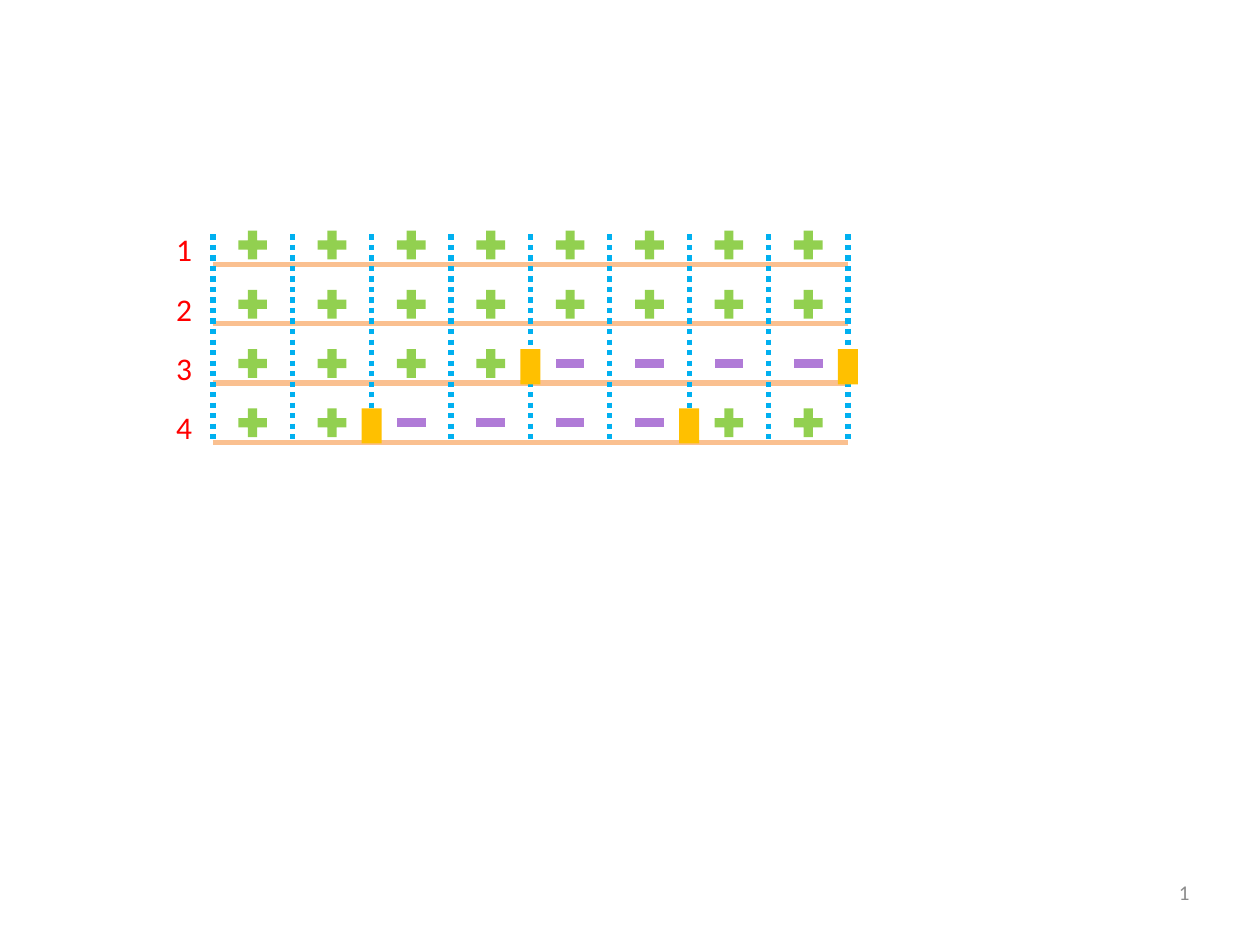
import pptx
import pptx.util
import pptx.dml.color
import pptx.enum.dml
import pptx.enum.shapes
import pptx.enum.text
import pptx.oxml.ns
import lxml.etree

Inches = pptx.util.Inches
SHAPE = pptx.enum.shapes.MSO_SHAPE
ALIGN = pptx.enum.text.PP_ALIGN
ANCHOR = pptx.enum.text.MSO_ANCHOR
DOT = pptx.enum.dml.MSO_LINE.ROUND_DOT

COLORS = {
    "row": "FAC090",
    "dots": "00B0F0",
    "plus": "92D050",
    "minus": "B07BD7",
    "flip": "FFC000",
    "label": "FF0000",
    "page": "8C8C8C",
}
SIGNS = ["++++++++", "++++++++", "++++----", "++----++"]
FLIPS = [(3, 2), (2, 4), (3, 6), (2, 8)]  # row, column edge
CELL_W, CELL_H = 0.63, 0.47
SIGN = 0.31


def color(name):
    """Return the named colour."""
    return pptx.dml.color.RGBColor.from_string(COLORS[name])


def rule(shapes, start, end, name, dash=None):
    """Draw a straight 3 pt line between two points."""
    line = shapes.add_connector(
        pptx.enum.shapes.MSO_CONNECTOR.STRAIGHT,
        *(Inches(v) for v in (*start, *end)))
    line.line.color.rgb = color(name)
    line.line.width = pptx.util.Pt(3)
    if dash is not None:
        line.line.dash_style = dash
    props = line._element.spPr
    lxml.etree.SubElement(props, pptx.oxml.ns.qn("a:effectLst"))


def solid(shapes, kind, box, name):
    """Draw a filled shape without an outline."""
    shape = shapes.add_shape(kind, *(Inches(v) for v in box))
    shape.shadow.inherit = False
    shape.fill.solid()
    shape.fill.fore_color.rgb = color(name)
    shape.line.fill.background()


def write(shapes, text, box, size, name, align=ALIGN.LEFT, anchor=ANCHOR.TOP):
    """Place one line of text in a box."""
    frame = shapes.add_textbox(*(Inches(v) for v in box)).text_frame
    frame.word_wrap = True
    frame.vertical_anchor = anchor
    para = frame.paragraphs[0]
    para.text = text
    para.alignment = align
    para.font.name = "Calibri"
    para.font.size = pptx.util.Pt(size)
    para.font.color.rgb = color(name)


def sign(shapes, left, base, mark):
    """Draw a plus or minus centred in its cell."""
    kind, name = ((SHAPE.MATH_PLUS, "plus") if mark == "+"
                  else (SHAPE.MATH_MINUS, "minus"))
    side = (CELL_W - SIGN) / 2
    solid(shapes, kind, (left + side, base - SIGN, SIGN, SIGN), name)


def column(shapes, left, top, bases, marks):
    """Draw one grouped column: row lines, left edge and signs."""
    group = shapes.add_group_shape().shapes
    for base in bases:
        rule(group, (left, base), (left + CELL_W, base), "row")
    rule(group, (left, top), (left, bases[-1]), "dots", DOT)
    for base, mark in zip(bases, marks):
        sign(group, left, base, mark)


def grid(shapes, left, top):
    """Draw the sign grid with its flip marks and row labels."""
    bases = [top + 0.24 + row * CELL_H for row in range(len(SIGNS))]
    edges = [left + col * CELL_W for col in range(len(SIGNS[0]) + 1)]
    for edge, marks in zip(edges, zip(*SIGNS)):
        column(shapes, edge, top, bases, marks)
    rule(shapes, (edges[-1], top), (edges[-1], bases[-1]), "dots", DOT)
    for row, col in FLIPS:
        box = (edges[col] - 0.08, bases[row] - 0.27, 0.16, 0.28)
        solid(shapes, SHAPE.RECTANGLE, box, "flip")
    for number, base in enumerate(bases, 1):
        box = (left - 0.39, base - 0.32, 0.94, 0.4)
        write(shapes, str(number), box, 18, "label")


def main():
    """Build and save the slide."""
    deck = pptx.Presentation()
    deck.slide_width, deck.slide_height = Inches(10), Inches(7.5)
    shapes = deck.slides.add_slide(deck.slide_layouts[6]).shapes
    write(shapes, "1", (7.36, 6.82, 2.18, 0.52), 12, "page",
          ALIGN.RIGHT, ANCHOR.MIDDLE)
    grid(shapes, 1.69, 1.86)
    deck.save("out.pptx")


main()
